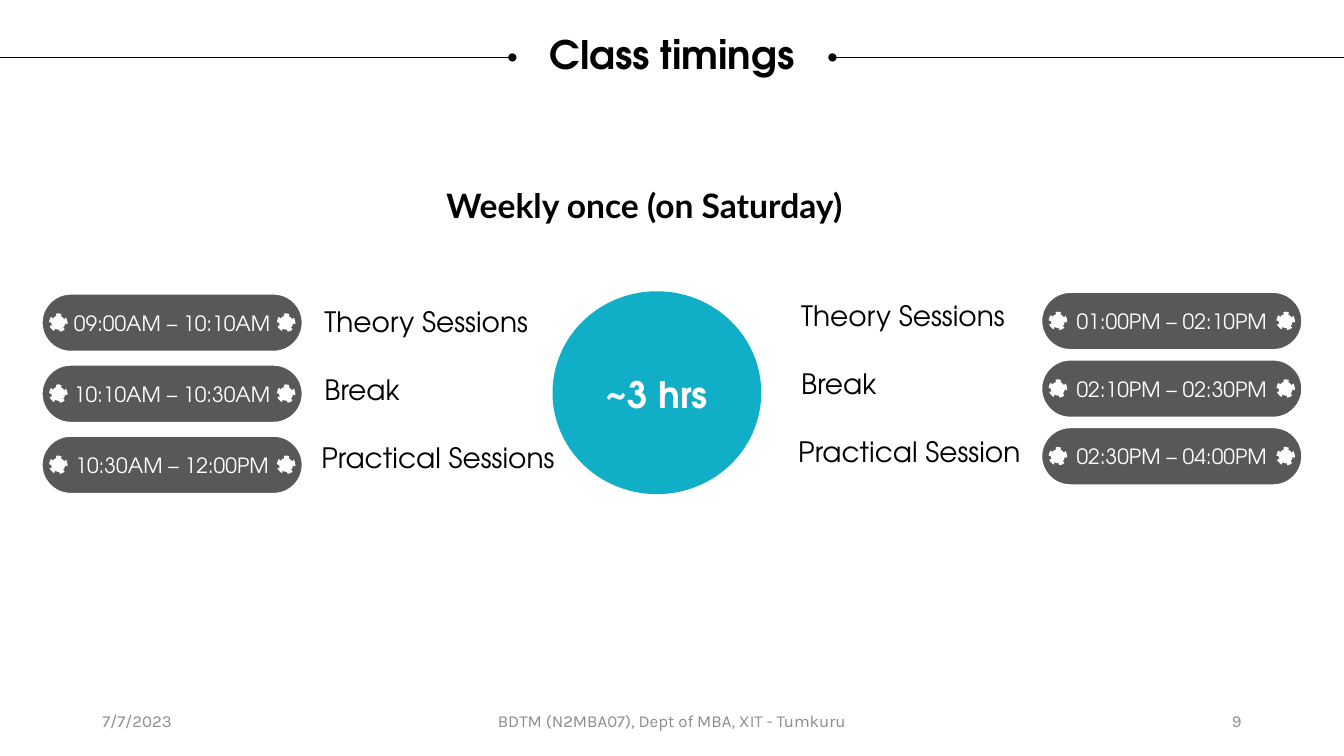
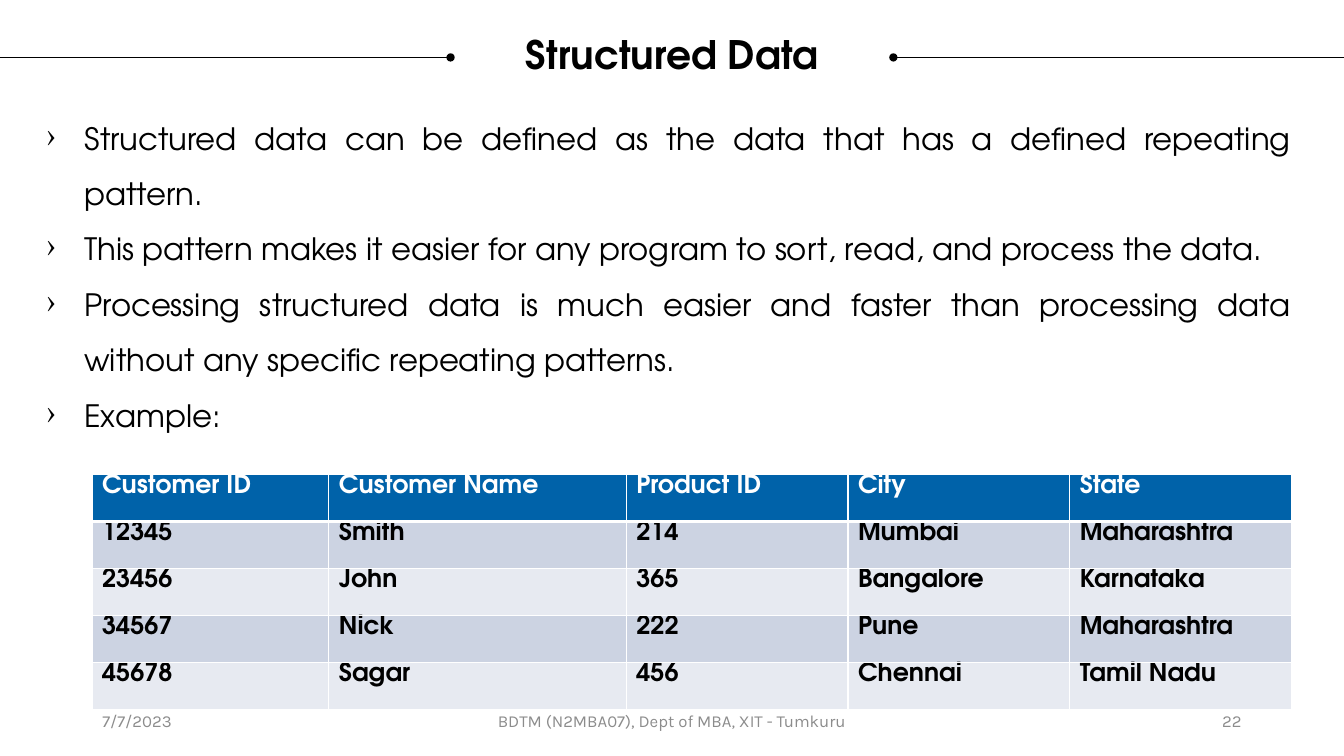
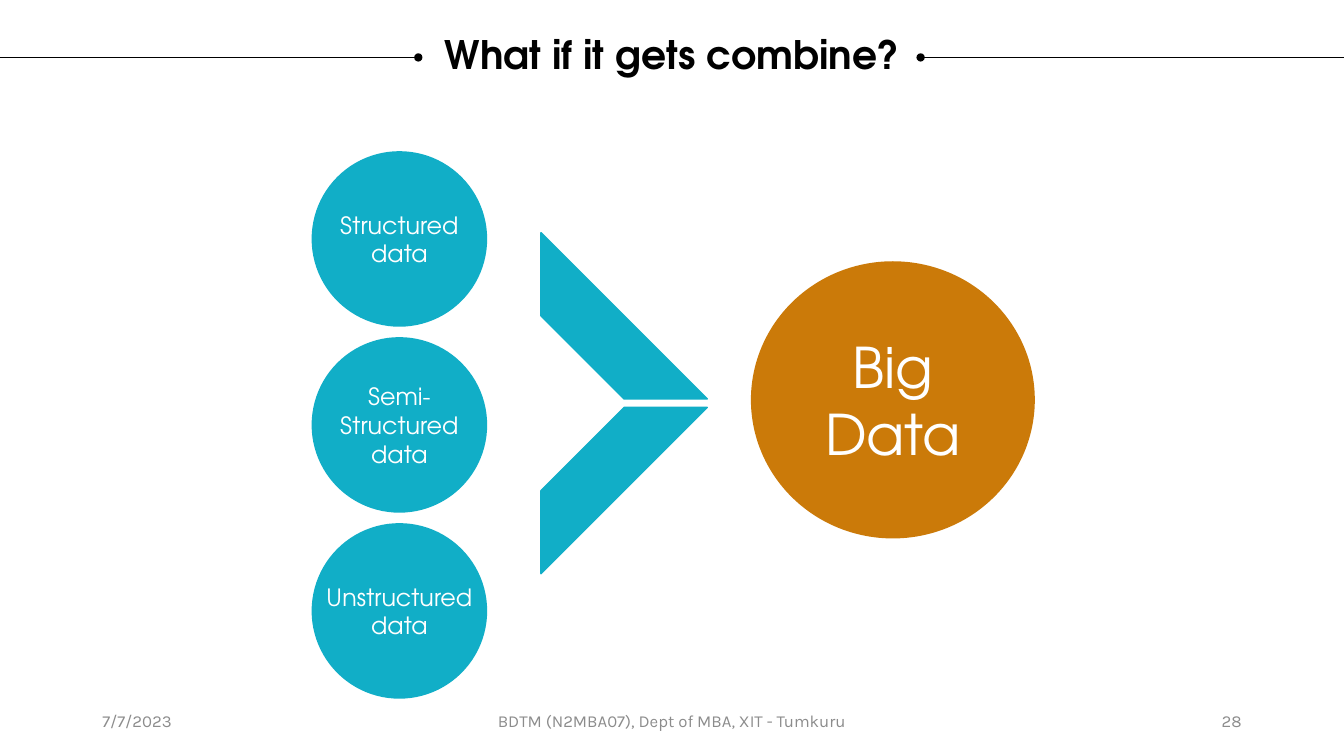
from dataclasses import dataclass

from lxml.etree import SubElement
from pptx import Presentation
from pptx.dml.color import RGBColor
from pptx.enum.dml import MSO_LINE
from pptx.enum.shapes import MSO_CONNECTOR, MSO_SHAPE
from pptx.enum.text import MSO_ANCHOR, MSO_AUTO_SIZE, PP_ALIGN
from pptx.oxml.ns import qn
from pptx.util import Inches, Pt

COLS, ROWS = 160, 90
CELL = Inches(7.5) / ROWS


@dataclass(frozen=True)
class Theme:
    face: str = "TeX Gyre Adventor"
    foot: str = "Karla"
    sub: str = "Lato"
    ink: str = "000000"
    white: str = "FFFFFF"
    grey: str = "8C8C8C"
    dark: str = "585858"
    teal: str = "11AEC7"
    amber: str = "CB7A09"
    head: str = "0062A9"
    bands: tuple = ("CCD3E2", "E7EAF1")
    title: int = 28
    lead: int = 24
    hours: int = 26
    body: int = 22
    label: int = 20
    cell: int = 18
    ring: int = 17
    pill: int = 15
    note: int = 12
    big: int = 40


T = Theme()


def rgb(code):
    return RGBColor.from_string(code)


def grid(*cells):
    return [round(n * CELL) for n in cells]


def style(para, size, color=T.ink, bold=False, face=T.face, align=PP_ALIGN.LEFT,
          lead=None, before=None):
    font = para.font
    font.name, font.size, font.bold = face, Pt(size), bold
    font.color.rgb = rgb(color)
    para.alignment = align
    if lead:
        para.line_spacing = lead
    if before:
        para.space_before = Pt(before)


def pad(frame, inch):
    frame.margin_left = frame.margin_right = Inches(inch)
    frame.margin_top = frame.margin_bottom = Inches(inch)


def write(slide, box, text, size, anchor=MSO_ANCHOR.TOP, inset=None, **look):
    frame = slide.shapes.add_textbox(*grid(*box)).text_frame
    frame.word_wrap = True
    frame.vertical_anchor = anchor
    if inset is not None:
        pad(frame, inset)
    lines = [text] if isinstance(text, str) else text
    for i, line in enumerate(lines):
        para = frame.add_paragraph() if i else frame.paragraphs[0]
        para.text = line
        style(para, size, **look)
    return frame


def draw(slide, kind, box, fill, edge=None, width=1):
    shape = slide.shapes.add_shape(kind, *grid(*box))
    shape.shadow.inherit = False
    shape.fill.solid()
    shape.fill.fore_color.rgb = rgb(fill)
    if edge:
        shape.line.color.rgb = rgb(edge)
        shape.line.width = Pt(width)
    else:
        shape.line.fill.background()
    return shape


def label(shape, text, size, **look):
    frame = shape.text_frame
    frame.word_wrap = True
    frame.vertical_anchor = MSO_ANCHOR.MIDDLE
    frame.text = text
    style(frame.paragraphs[0], size, T.white, align=PP_ALIGN.CENTER, **look)


def rule(slide, start, end):
    y = 6.84
    line = slide.shapes.add_connector(MSO_CONNECTOR.STRAIGHT, *grid(start, y, end, y))
    line.line.color.rgb = rgb(T.ink)
    line.line.width = Pt(0.5)
    SubElement(line.line._get_or_add_ln(), qn("a:tailEnd"), type="oval")
    SubElement(line._element.spPr, qn("a:effectLst"))


def page(deck, title, number, left, right):
    slide = deck.slides.add_slide(deck.slide_layouts[5])
    head = slide.shapes.title
    head.left, head.top, head.width, head.height = grid(3, 4.2, 154, 5)
    frame = head.text_frame
    frame.text = title
    frame.auto_size = MSO_AUTO_SIZE.NONE
    frame.vertical_anchor = MSO_ANCHOR.TOP
    pad(frame, 0)
    style(frame.paragraphs[0], T.title, bold=True, align=PP_ALIGN.CENTER, lead=0.9)
    rule(slide, 0, left)
    rule(slide, COLS, right)
    edge, wide = 11, 36
    for x, w, text, align in (
        (edge, wide, "7/7/2023", PP_ALIGN.LEFT),
        (53, 54, "BDTM (N2MBA07), Dept of MBA, XIT - Tumkuru", PP_ALIGN.CENTER),
        (COLS - edge - wide, wide, str(number), PP_ALIGN.RIGHT),
    ):
        write(slide, (x, 83.4, w, 4.8), text, T.note, MSO_ANCHOR.MIDDLE,
              color=T.grey, face=T.foot, align=align)
    return slide


def pill(slide, x, y, text):
    wide, high, dot, gap = 31, 6.84, 1.68, 1.1
    bar = draw(slide, MSO_SHAPE.ROUNDED_RECTANGLE, (x, y, wide, high), T.dark, T.white)
    bar.adjustments[0] = 0.5
    label(bar, text, T.pill)
    for left in (x + gap, x + wide - gap - dot):
        spot = draw(slide, MSO_SHAPE.OVAL, (left, y + (high - dot) / 2, dot, dot),
                    T.white, T.white, 3.25)
        spot.line.dash_style = MSO_LINE.ROUND_DOT


def agenda(slide, pills, names, rows):
    x, y, step = pills
    left, top = names
    for i, (time, name) in enumerate(rows):
        pill(slide, x, y + i * step, time)
        shift = 0.36 if name.startswith("Practical") else 0
        write(slide, (left - shift, top + i * 8.1, 30.6, 6.1), name, T.label,
              lead=0.9, before=10)


def bullets(slide, box, lines):
    frame = write(slide, box, lines, T.body, inset=0, align=PP_ALIGN.JUSTIFY, lead=1.5)
    for para in frame.paragraphs:
        props = para._p.get_or_add_pPr()
        props.set("marL", str(Inches(0.38)))
        props.set("indent", str(-Inches(0.38)))
        mark = props.makeelement(qn("a:buChar"), {"char": "›"})
        props.find(qn("a:defRPr")).addprevious(mark)


def border(cell, sides):
    props = cell._tc.get_or_add_tcPr()
    for i, (side, width) in enumerate(sides):
        line = props.makeelement(qn("a:" + side), {"w": str(Pt(width))})
        fill = SubElement(line, qn("a:solidFill"))
        SubElement(fill, qn("a:srgbClr"), val=T.white)
        props.insert(i, line)


def table(slide, x, y, widths, high, rows):
    frame = slide.shapes.add_table(len(rows), len(widths),
                                   *grid(x, y, sum(widths), high * len(rows)))
    sheet = frame.table
    sheet.first_row = sheet.horz_banding = False
    for col, width in zip(sheet.columns, grid(*widths)):
        col.width = width
    for r, row in enumerate(rows):
        fill = T.bands[(r - 1) % 2] if r else T.head
        for c, text in enumerate(row):
            cell = sheet.cell(r, c)
            cell.text = text
            cell.margin_top = cell.margin_bottom = 0
            cell.fill.solid()
            cell.fill.fore_color.rgb = rgb(fill)
            style(cell.text_frame.paragraphs[0], T.cell, T.ink if r else T.white, True)
            border(cell, (("lnL", 1), ("lnR", 1), ("lnT", 3 if r == 1 else 1),
                          ("lnB", 1 if r else 3)))


def times(deck):
    slide = page(deck, "Class timings", 9, 61, 99.1)
    disc = draw(slide, MSO_SHAPE.OVAL, (65.9, 34.8, 24.6, 23.9), T.teal, T.teal, 1.5)
    pad(disc.text_frame, 0.1)
    label(disc, "~3 hrs", T.hours, bold=True, lead=1.06)
    write(slide, (31, 22, 91.4, 6.1), "Weekly once (on Saturday)", T.lead, bold=True,
          face=T.sub, align=PP_ALIGN.CENTER, lead=0.9, before=10)
    agenda(slide, (5, 35, 8.46), (37.44, 36.1), (
        ("09:00AM – 10:10AM", "Theory Sessions"),
        ("10:10AM – 10:30AM", "Break"),
        ("10:30AM – 12:00PM", "Practical Sessions"),
    ))
    agenda(slide, (124, 34.8, 8.05), (94.2, 35.4), (
        ("01:00PM – 02:10PM", "Theory Sessions"),
        ("02:10PM – 02:30PM", "Break"),
        ("02:30PM – 04:00PM", "Practical Session"),
    ))


def records(deck):
    slide = page(deck, "Structured Data", 22, 53.64, 106.36)
    bullets(slide, (5.5, 12, 148.2, 39), (
        "Structured data can be defined as the data that has a defined repeating pattern.",
        "This pattern makes it easier for any program to sort, read, and process the data.",
        "Processing structured data is much easier and faster than processing data "
        "without any specific repeating patterns.",
        "Example:",
    ))
    table(slide, 10.95, 56.5, (28.2, 35.4, 26.4, 26.4, 26.4), 5.6, (
        ("Customer ID", "Customer Name", "Product ID", "City", "State"),
        ("12345", "Smith", "214", "Mumbai", "Maharashtra"),
        ("23456", "John", "365", "Bangalore", "Karnataka"),
        ("34567", "Nick", "222", "Pune", "Maharashtra"),
        ("45678", "Sagar", "456", "Chennai", "Tamil Nadu"),
    ))


def merge(deck):
    slide = page(deck, "What if it gets combine?", 28, 49.8, 109.6)
    x, size, step, wide = 37.1, 20.9, 22.14, 18
    kinds = ("Structured data", "Semi-Structured data", "Unstructured data")
    for i, kind in enumerate(kinds):
        y = 18 + i * step
        draw(slide, MSO_SHAPE.OVAL, (x, y, size, size), T.teal)
        write(slide, (x + (size - wide) / 2, y, wide, size), kind, T.ring,
              MSO_ANCHOR.MIDDLE, 0, color=T.white, align=PP_ALIGN.CENTER)
    whole = draw(slide, MSO_SHAPE.OVAL, (89.4, 31.1, 33.8, 33), T.amber)
    label(whole, "Big Data", T.big)
    for y, flip in ((27.7, "1"), (48.5, "0")):
        arm = draw(slide, MSO_SHAPE.DIAGONAL_STRIPE, (64.4, y, 19.8, 19.8), T.teal, T.teal)
        arm._element.spPr.find(qn("a:xfrm")).set("flipV", flip)


def main():
    deck = Presentation()
    deck.slide_width, deck.slide_height = grid(COLS, ROWS)
    times(deck)
    records(deck)
    merge(deck)
    deck.save("out.pptx")


if __name__ == "__main__":
    main()
